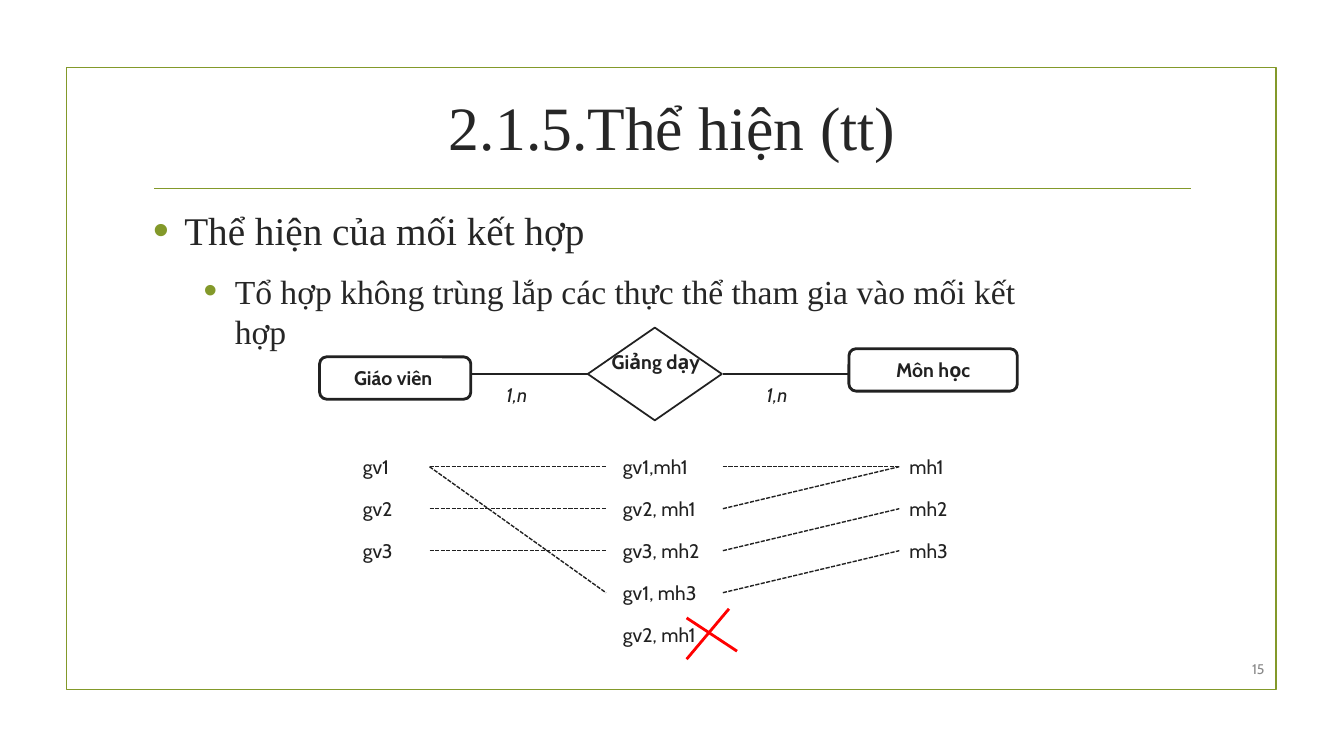
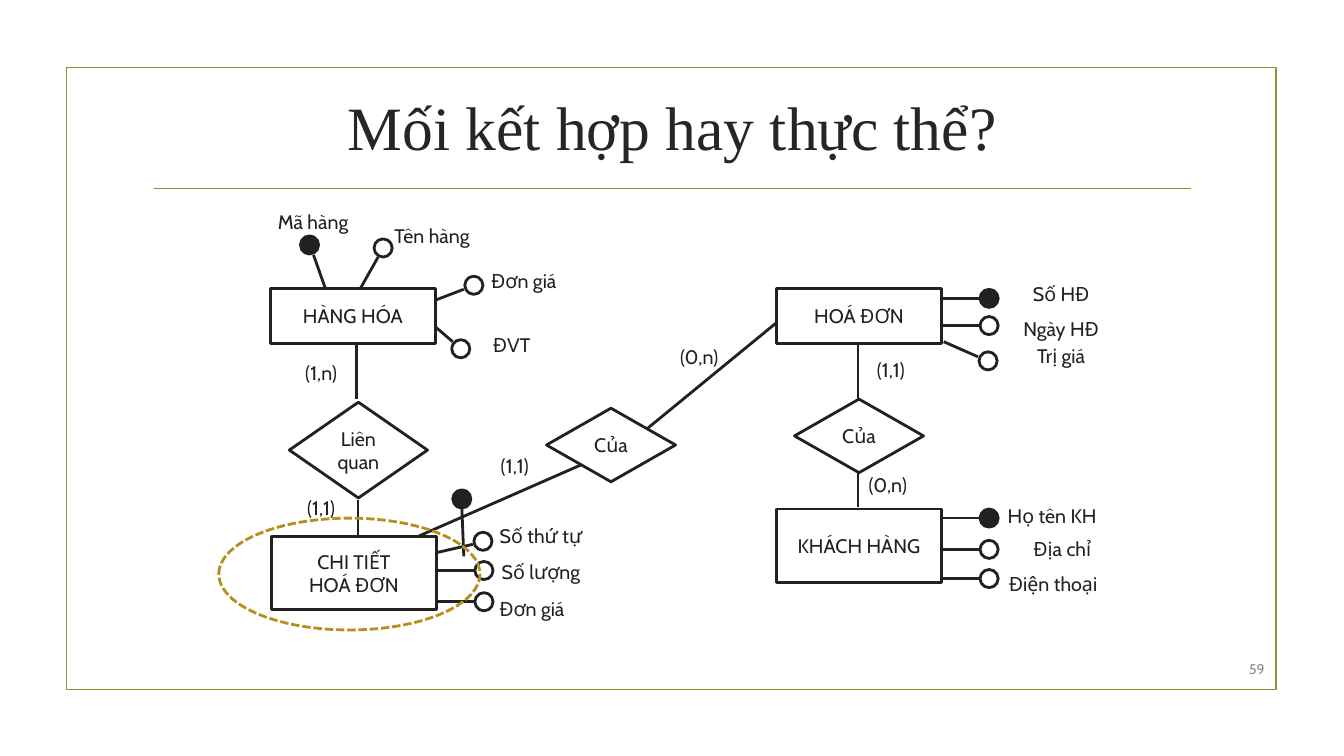
from lxml import etree
from pptx import Presentation
from pptx.dml.color import RGBColor
from pptx.enum.dml import MSO_LINE
from pptx.enum.shapes import MSO_CONNECTOR, MSO_SHAPE
from pptx.enum.text import MSO_ANCHOR, PP_ALIGN
from pptx.oxml.ns import qn
from pptx.util import Inches, Pt

RECT, ROUND = MSO_SHAPE.RECTANGLE, MSO_SHAPE.ROUNDED_RECTANGLE
DIAMOND, OVAL = MSO_SHAPE.DIAMOND, MSO_SHAPE.OVAL
STRAIGHT, DASH = MSO_CONNECTOR.STRAIGHT, MSO_LINE.SQUARE_DOT
LEFT, CENTER, RIGHT = PP_ALIGN.LEFT, PP_ALIGN.CENTER, PP_ALIGN.RIGHT
TOP, MIDDLE = MSO_ANCHOR.TOP, MSO_ANCHOR.MIDDLE

COLORS = {
    "accent": "83992A",
    "heading": "262626",
    "ink": "212121",
    "paper": "FFFFFF",
    "number": "898989",
    "wrong": "FF0000",
    "highlight": "B78E20",
}
SERIF, SANS = "Times New Roman", "Cabin"
DEFAULT_INSETS = (0.1, 0.05)
NO_INSETS = (0, 0)


def rgb(name):
    return RGBColor.from_string(COLORS[name])


class Deck:
    """Holds the shared style and the slide being drawn."""

    def __init__(self):
        self.prs = Presentation()
        self.prs.slide_width, self.prs.slide_height = Inches(13.33), Inches(7.5)
        self.slide = None

    def new_slide(self, title, number):
        self.slide = self.prs.slides.add_slide(self.prs.slide_layouts[6])
        self.shape(RECT, 0.66, 0.67, 12, 6.17, fill=None, color="accent", width=1.25)
        self.line((1.53, 1.87), (11.81, 1.87), color="accent", width=1.25)
        self.text([title], 1.42, 0.68, 10.5, 1.14, size=44, color="heading",
                  font=SERIF, anchor=MIDDLE)
        self.text([number], 12.05, 6.48, 0.59, 0.31, size=10, color="number",
                  align=RIGHT, anchor=MIDDLE)

    def style_line(self, line, color, width, dash):
        line.color.rgb = rgb(color)
        line.width = Pt(width)
        if dash:
            line.dash_style = dash

    def shape(self, kind, x, y, w, h, fill="paper", color="ink", width=2, dash=None):
        shape = self.slide.shapes.add_shape(
            kind, Inches(x), Inches(y), Inches(w), Inches(h))
        shape.shadow.inherit = False
        if fill:
            shape.fill.solid()
            shape.fill.fore_color.rgb = rgb(fill)
        else:
            shape.fill.background()
        self.style_line(shape.line, color, width, dash)
        return shape

    def line(self, start, end, color="ink", width=2, dash=None):
        line = self.slide.shapes.add_connector(
            STRAIGHT, *(Inches(value) for value in (*start, *end)))
        etree.SubElement(line._element.spPr, qn("a:effectLst"))
        self.style_line(line.line, color, width, dash)

    def add_run(self, paragraph, words, size=14, color="ink", font=SANS,
                bold=False, italic=False):
        run = paragraph.add_run()
        run.text = words
        run.font.size, run.font.name = Pt(size), font
        run.font.bold, run.font.italic = bold, italic
        run.font.color.rgb = rgb(color)

    def fill_frame(self, frame, lines, align=CENTER, anchor=TOP,
                   insets=DEFAULT_INSETS, **run_style):
        frame.word_wrap = True
        frame.vertical_anchor = anchor
        frame.margin_left = frame.margin_right = Inches(insets[0])
        frame.margin_top = frame.margin_bottom = Inches(insets[1])
        for i, words in enumerate(lines):
            paragraph = frame.add_paragraph() if i else frame.paragraphs[0]
            paragraph.alignment = align
            self.add_run(paragraph, words, **run_style)

    def text_frame(self, x, y, w, h):
        return self.slide.shapes.add_textbox(
            Inches(x), Inches(y), Inches(w), Inches(h)).text_frame

    def text(self, lines, x, y, w, h, **style):
        self.fill_frame(self.text_frame(x, y, w, h), lines, **style)

    def bullets(self, items, x, y, w, h):
        """Bulleted text; items are (level, size, words)."""
        frame = self.text_frame(x, y, w, h)
        frame.word_wrap = True
        for i, (level, size, words) in enumerate(items):
            paragraph = frame.add_paragraph() if i else frame.paragraphs[0]
            paragraph.level = level
            props = paragraph._p.get_or_add_pPr()
            props.set("marL", str(Inches(0.31 + 0.5 * level)))
            props.set("indent", str(Inches(-0.31)))
            bullet_color = etree.SubElement(props, qn("a:buClr"))
            etree.SubElement(bullet_color, qn("a:srgbClr"), val=COLORS["accent"])
            etree.SubElement(props, qn("a:buSzPct"), val="115000")
            etree.SubElement(props, qn("a:buFont"), typeface="Arial")
            etree.SubElement(props, qn("a:buChar"), char="•")
            if i:
                paragraph.space_before = Pt(6)
            paragraph.space_after = Pt(6)
            self.add_run(paragraph, words, size, "heading", SERIF)

    def node(self, kind, lines, x, y, w, h):
        """Entity or relationship with its name inside."""
        insets = NO_INSETS if kind == DIAMOND else (0, 0.05)
        shape = self.shape(kind, x, y, w, h)
        self.fill_frame(shape.text_frame, lines, anchor=MIDDLE, insets=insets)

    def attribute(self, start, end, dot, is_key=False):
        """Line from an entity to a small circle, filled for a key."""
        self.line(start, end)
        self.shape(OVAL, *dot, 0.18, 0.18, fill="ink" if is_key else None)


def relationship_instances(deck):
    deck.new_slide("2.1.5.Thể hiện (tt)", "15")
    deck.bullets([
        (0, 28, "Thể hiện của mối kết hợp"),
        (1, 24, "Tổ hợp không trùng lắp các thực thể tham gia vào mối kết hợp"),
    ], 1.42, 2, 9.08, 4.63)

    deck.shape(ROUND, 8.42, 3.46, 1.67, 0.42)
    deck.shape(ROUND, 3.17, 3.54, 1.5, 0.42)
    deck.shape(DIAMOND, 5.83, 3.25, 1.33, 0.92, width=1.25)
    for name, x, y, w in (("Môn học", 8.42, 3.5, 1.67), ("Giáo viên", 3.19, 3.58, 1.42),
                          ("Giảng dạy", 5.92, 3.42, 1.17)):
        deck.text([name], x, y, w, 0.34, bold=True)
    for start, end, label_x in ((4.67, 5.83, 4.75), (7.17, 8.42, 7.33)):
        deck.line((start, 3.71), (end, 3.71))
        deck.text(["1,n"], label_x, 3.75, 0.75, 0.34, italic=True)

    first_row, row_gap = 4.63, 1.25 / 3
    columns = (
        (3.5, ("gv1", "gv2", "gv3")),
        (6.08, ("gv1,mh1", "gv2, mh1", "gv3, mh2", "gv1, mh3", "gv2, mh1")),
        (8.92, ("mh1", "mh2", "mh3")),
    )
    for x, names in columns:
        for row, name in enumerate(names):
            deck.text([name], x, first_row - 0.17 + row * row_gap, 1.75, 0.34, align=LEFT)

    teacher_links = ((0, 0), (1, 1), (2, 2), (0, 3))
    subject_links = ((0, 0), (1, 0), (2, 1), (3, 2))
    for x, links in ((4.26, teacher_links), (7.17, subject_links)):
        for from_row, to_row in links:
            deck.line((x, first_row + from_row * row_gap),
                      (x + 1.75, first_row + to_row * row_gap), width=1, dash=DASH)

    deck.line((6.81, 6.54), (7.23, 6.04), color="wrong")
    deck.line((6.81, 6.13), (7.31, 6.46), color="wrong")


def relationship_or_entity(deck):
    deck.new_slide("Mối kết hợp hay thực thể?", "59")

    for start, end in (
        ((8.51, 3.41), (8.51, 3.96)), ((8.51, 4.67), (8.51, 5.03)),
        ((3.54, 3.41), (3.54, 3.96)), ((3.55, 5.32), (3.55, 4.96)),
        ((4.15, 5.32), (5.79, 4.6)), ((6.41, 4.26), (7.74, 3.17)),
    ):
        deck.line(start, end)

    slanted_attributes = (
        ((3.23, 2.87), (3.11, 2.53), (2.98, 2.34), True),
        ((3.57, 2.87), (3.75, 2.55), (3.71, 2.37)),
        ((4.21, 3.15), (4.49, 3.39), (4.48, 3.37)),
        ((4.26, 3), (4.6, 2.87), (4.61, 2.74)),
        ((9.36, 3.39), (9.7, 3.54), (9.71, 3.49)),
        ((4.34, 5.48), (4.69, 5.4), (4.7, 5.28)),
        ((4.6, 5.52), (4.58, 5.02), (4.49, 4.86), True),
    )
    for attribute in slanted_attributes:
        deck.attribute(*attribute)
    level_attributes = (
        (4.33, 5.66, False), (4.33, 5.97, False),
        (9.34, 2.96, True), (9.34, 3.23, False),
        (9.34, 5.14, True), (9.34, 5.45, False), (9.34, 5.74, False),
    )
    for x, y, is_key in level_attributes:
        deck.attribute((x, y), (x + 0.37, y), (x + 0.38, y - 0.09), is_key)

    attribute_names = (
        ("Mã hàng", 2.56, 2.08), ("Tên hàng", 3.74, 2.22), ("ĐVT", 4.53, 3.3),
        ("Đơn giá", 4.65, 2.67), ("Đơn giá", 4.73, 5.92), ("Số lượng", 4.82, 5.55),
        ("Số thứ tự", 4.82, 5.2), ("Số HĐ", 9.98, 2.8), ("Ngày HĐ", 9.98, 3.14),
        ("Trị giá", 9.98, 3.41), ("Họ tên KH", 9.89, 5), ("Địa chỉ", 9.99, 5.33),
        ("Điện thoại", 9.9, 5.67),
    )
    cardinalities = (
        ("(1,n)", 2.91, 3.58), ("(0,n)", 6.66, 3.42), ("(1,1)", 8.56, 3.55),
        ("(0,n)", 8.53, 4.69), ("(1,1)", 2.91, 4.92), ("(1,1)", 4.83, 4.5),
    )
    for labels, width in ((attribute_names, 1.09), (cardinalities, 0.55)):
        for label, x, y in labels:
            deck.text([label], x, y, width, 0.36, insets=NO_INSETS)

    for lines, x, y, h in (
        (["HÀNG HÓA"], 2.68, 2.86, 0.55), (["HOÁ ĐƠN"], 7.7, 2.86, 0.55),
        (["KHÁCH HÀNG"], 7.7, 5.05, 0.73), (["CHI TIẾT", "HOÁ ĐƠN"], 2.69, 5.32, 0.73),
    ):
        deck.node(RECT, lines, x, y, 1.64, h)
    deck.node(DIAMOND, ["Liên quan"], 2.87, 3.99, 1.37, 0.95)
    for x, y in ((7.88, 3.96), (5.42, 4.05)):
        deck.node(DIAMOND, ["Của"], x, y, 1.28, 0.73)
    deck.shape(OVAL, 2.17, 5.14, 2.59, 1.11, fill=None, color="highlight", dash=DASH)


def main():
    deck = Deck()
    relationship_instances(deck)
    relationship_or_entity(deck)
    deck.prs.save("out.pptx")


if __name__ == "__main__":
    main()
